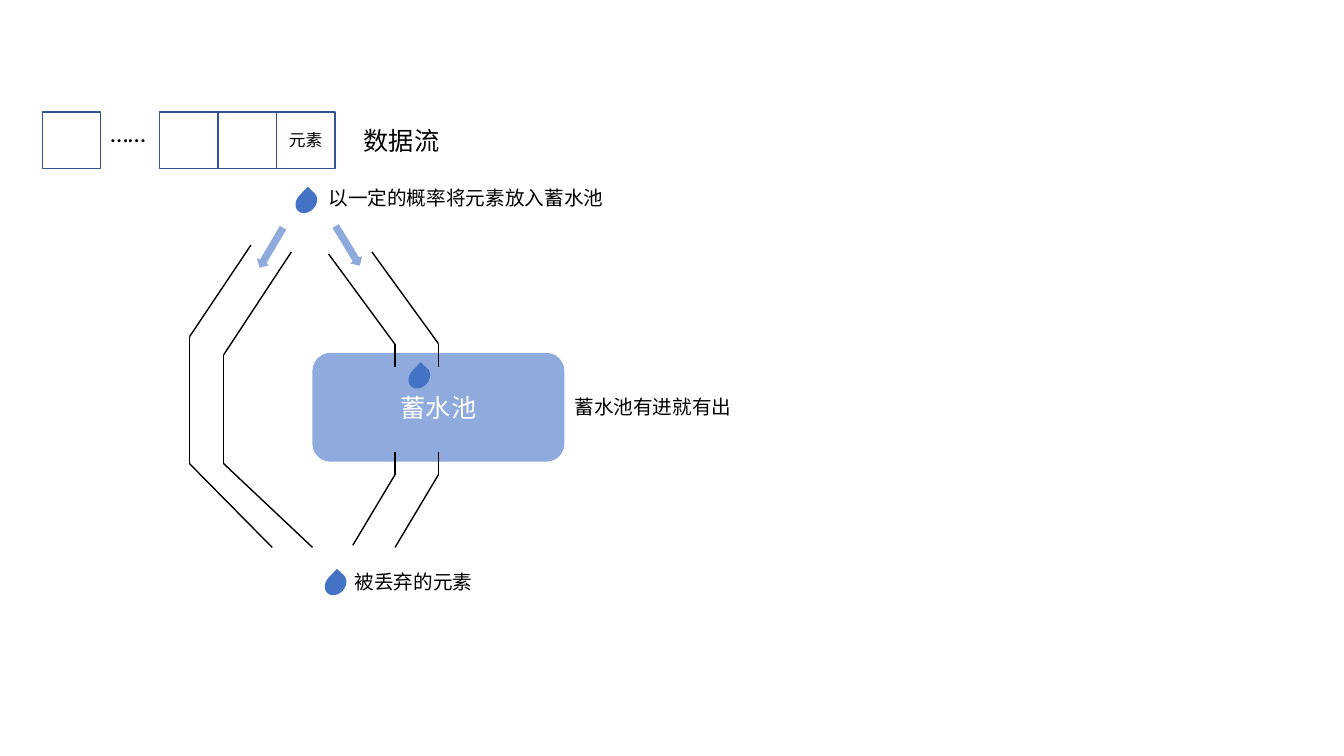
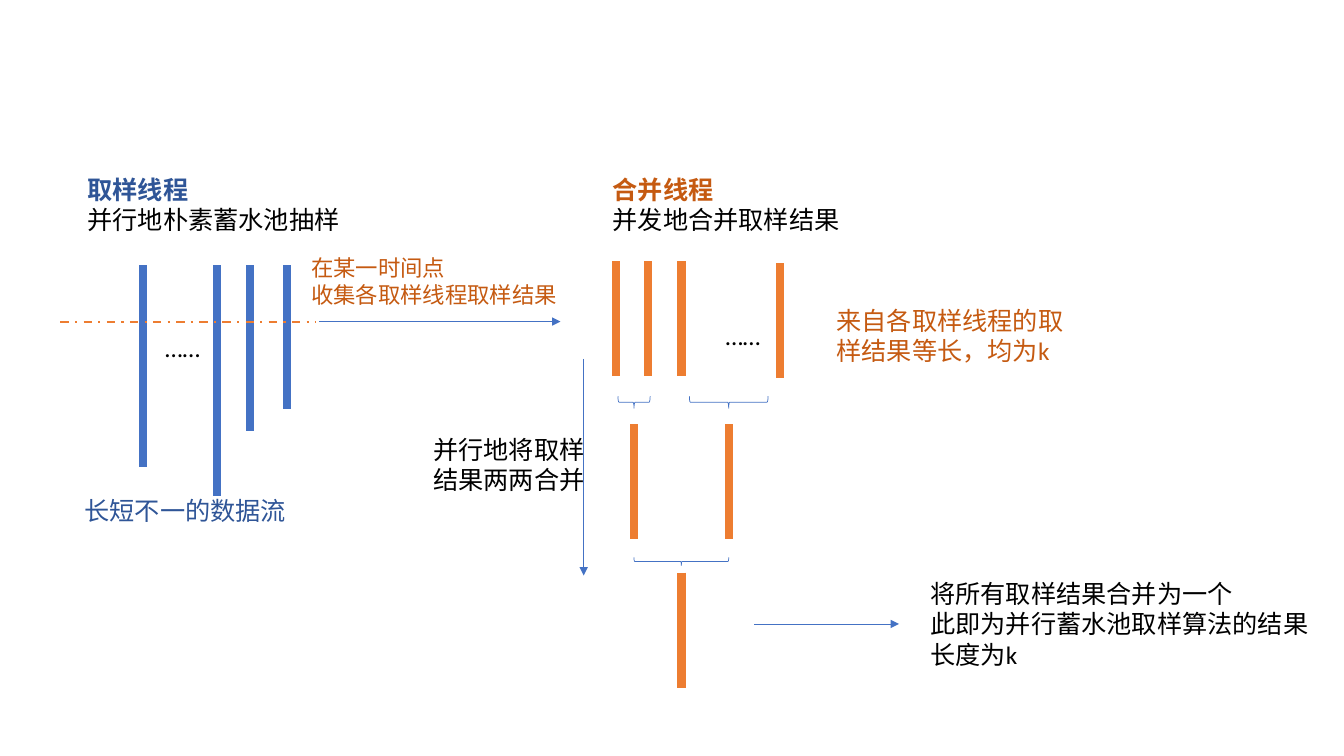
from itertools import pairwise

from lxml.etree import SubElement
from pptx import Presentation
from pptx.dml.color import RGBColor
from pptx.enum.dml import MSO_LINE_DASH_STYLE as Dash
from pptx.enum.shapes import MSO_CONNECTOR as Connector, MSO_SHAPE as Preset
from pptx.enum.text import MSO_ANCHOR as Anchor, PP_ALIGN as Align
from pptx.oxml.ns import qn
from pptx.util import Pt

FONT = "Calibri"
COLORS = {name: RGBColor.from_string(value) for name, value in {
    "black": "000000",
    "white": "FFFFFF",
    "blue": "4472C4",
    "light blue": "8FAADC",
    "dark blue": "2F5597",
    "cell border": "325491",
    "orange": "ED7D31",
    "dark orange": "C55A11",
}.items()}


def write(shape, text, size=18, color="black", heading=None,
          align=Align.LEFT, anchor=Anchor.TOP):
    """Fill a shape with text; a heading colour makes the first line bold."""
    frame = shape.text_frame
    frame.word_wrap = True
    frame.vertical_anchor = anchor
    for index, line in enumerate(text.split("\n")):
        paragraph = frame.add_paragraph() if index else frame.paragraphs[0]
        paragraph.alignment = align
        run = paragraph.add_run()
        run.text = line
        is_heading = heading is not None and index == 0
        run.font.name = FONT
        run.font.size = Pt(size)
        run.font.bold = is_heading
        run.font.color.rgb = COLORS[heading if is_heading else color]


def draw_line(slide, start, end, color="black", width=1, dash=None, arrow=False):
    connector = slide.shapes.add_connector(
        Connector.STRAIGHT, *(Pt(value) for value in (*start, *end)))
    connector.line.color.rgb = COLORS[color]
    connector.line.width = Pt(width)
    if dash:
        connector.line.dash_style = dash
    if arrow:
        SubElement(connector.get_or_add_ln(), qn("a:tailEnd"), type="triangle")
    SubElement(connector._element.spPr, qn("a:effectLst"))


presentation = Presentation()
presentation.slide_width = Pt(960)
presentation.slide_height = Pt(540)
blank = presentation.slide_layouts[6]
reservoir_slide = presentation.slides.add_slide(blank)
parallel_slide = presentation.slides.add_slide(blank)

# Reservoir: stream cells, drops, arrows and the pool
CELL_LEFT, CELL_WIDTH = 30.2, 41.8
center = {"align": Align.CENTER, "anchor": Anchor.MIDDLE}
cells = [(Preset.RECTANGLE, CELL_LEFT + column * CELL_WIDTH, 80, CELL_WIDTH, 40.3,
          0, "white", "cell border", "元素" if column == 4 else "", 12, "black")
         for column in (0, 2, 3, 4)]
drops = [(Preset.TEAR, left, top, 17.3, 13.7, 313.3, "blue", None, "", 18, "white")
         for left, top in ((210.2, 137.5), (290.9, 262.8), (231.1, 410.4))]
arrows = [(Preset.DOWN_ARROW, left, top, 13, 34.6, rotation,
           "light blue", "white", "", 18, "white")
          for left, top, rotation in ((187.2, 159.8, 30.6), (241.9, 158.4, 328.8))]
pool = (Preset.ROUNDED_RECTANGLE, 223.2, 252, 180, 77.8, 0,
        "light blue", None, "蓄水池", 18, "white")

for preset, left, top, width, height, rotation, fill, border, text, size, color in (
        *cells, *arrows, pool, *drops):
    shape = reservoir_slide.shapes.add_shape(
        preset, Pt(left), Pt(top), Pt(width), Pt(height))
    shape.shadow.inherit = False
    shape.rotation = rotation
    shape.fill.solid()
    shape.fill.fore_color.rgb = COLORS[fill]
    if border:
        shape.line.color.rgb = COLORS[border]
        shape.line.width = Pt(1)
    else:
        shape.line.fill.background()
    if text:
        write(shape, text, size=size, color=color, **center)

# Reservoir: pipe walls, each a chain of points
pipe_walls = [
    [(179.3, 175), (135.4, 240.5), (135.4, 331.2), (194.4, 391)],
    [(208.1, 180), (159.8, 253.4), (159.8, 331.2), (223.2, 391)],
    [(234.7, 181.4), (282.2, 246), (282.2, 262.1)],
    [(265.7, 180), (313.2, 245.5), (313.2, 262.1)],
    [(282.2, 322.6), (282.2, 339), (252, 389.5)],
    [(313.2, 322.6), (313.2, 339), (282.2, 391)],
]
for wall in pipe_walls:
    for start, end in pairwise(wall):
        draw_line(reservoir_slide, start, end)

# Parallel sampling: streams of unequal length
for x, bottom in ((102.2, 333.4), (154.8, 354.2), (178.6, 308.2), (205.2, 292.3)):
    draw_line(parallel_slide, (x, 189.4), (x, bottom), "blue", 6)

# Parallel sampling: results of equal length, merged level by level
RESULT_LENGTH = 82.1
for x, top in ((440, 186.5), (463, 186.5), (486.7, 186.5), (557.3, 187.9),
               (452.9, 303.1), (520.6, 303.1), (486.7, 409)):
    draw_line(parallel_slide, (x, top), (x, top + RESULT_LENGTH), "orange", 6)

for left, top, width, height in ((448.6, 275.8, 8.6, 23), (516.2, 259.2, 8.6, 56.2),
                                 (483.8, 367.2, 5.8, 67.7)):
    brace = parallel_slide.shapes.add_shape(
        Preset.LEFT_BRACE, Pt(left), Pt(top), Pt(width), Pt(height))
    brace.shadow.inherit = False
    brace.rotation = 270
    brace.fill.background()
    brace.line.color.rgb = COLORS["blue"]
    brace.line.width = Pt(0.5)

# Parallel sampling: collection time and flow arrows
draw_line(parallel_slide, (43.2, 229.7), (225.4, 229.7), "orange", 1.5, Dash.DASH_DOT)
for start, end in (((228.2, 229.7), (400.3, 229.7)),
                   ((416.9, 256.3), (416.9, 411.1)),
                   ((538.6, 445.7), (642.2, 445.7))):
    draw_line(parallel_slide, start, end, "blue", 0.5, arrow=True)

# Labels of both slides
labels = [
    (reservoir_slide, 72, 80, 52.6, 28.8, "……", {}),
    (reservoir_slide, 252.7, 85.7, 82.8, 28.8, "数据流", {}),
    (reservoir_slide, 227.5, 129.6, 274.3, 24.5, "以一定的概率将元素放入蓄水池", {"size": 14}),
    (reservoir_slide, 403.2, 278.6, 166.3, 24.5, "蓄水池有进就有出", {"size": 14}),
    (reservoir_slide, 246.2, 403.9, 157, 24.5, "被丢弃的元素", {"size": 14}),
    (parallel_slide, 110.9, 234, 66.2, 22.3, "……", {}),
    (parallel_slide, 511.2, 225.4, 100, 28.8, "……", {}),
    (parallel_slide, 55.4, 121, 271.4, 51, "取样线程\n并行地朴素蓄水池抽样",
     {"heading": "dark blue"}),
    (parallel_slide, 430.6, 121, 203, 51, "合并线程\n并发地合并取样结果",
     {"heading": "dark orange"}),
    (parallel_slide, 215.3, 177.8, 198, 46, "在某一时间点\n收集各取样线程取样结果",
     {"size": 16, "color": "dark orange"}),
    (parallel_slide, 53.3, 350.6, 183.6, 28.8, "长短不一的数据流", {"color": "dark blue"}),
    (parallel_slide, 590.4, 214.6, 186.5, 51, "来自各取样线程的取样结果等长，均为k",
     {"color": "dark orange"}),
    (parallel_slide, 302.4, 306.7, 125.3, 51, "并行地将取样结果两两合并", {}),
    (parallel_slide, 657.4, 409.7, 302.4, 72.7,
     "将所有取样结果合并为一个\n此即为并行蓄水池取样算法的结果\n长度为k", {}),
]
for slide, left, top, width, height, text, text_format in labels:
    box = slide.shapes.add_textbox(Pt(left), Pt(top), Pt(width), Pt(height))
    write(box, text, **text_format)

presentation.save("out.pptx")
